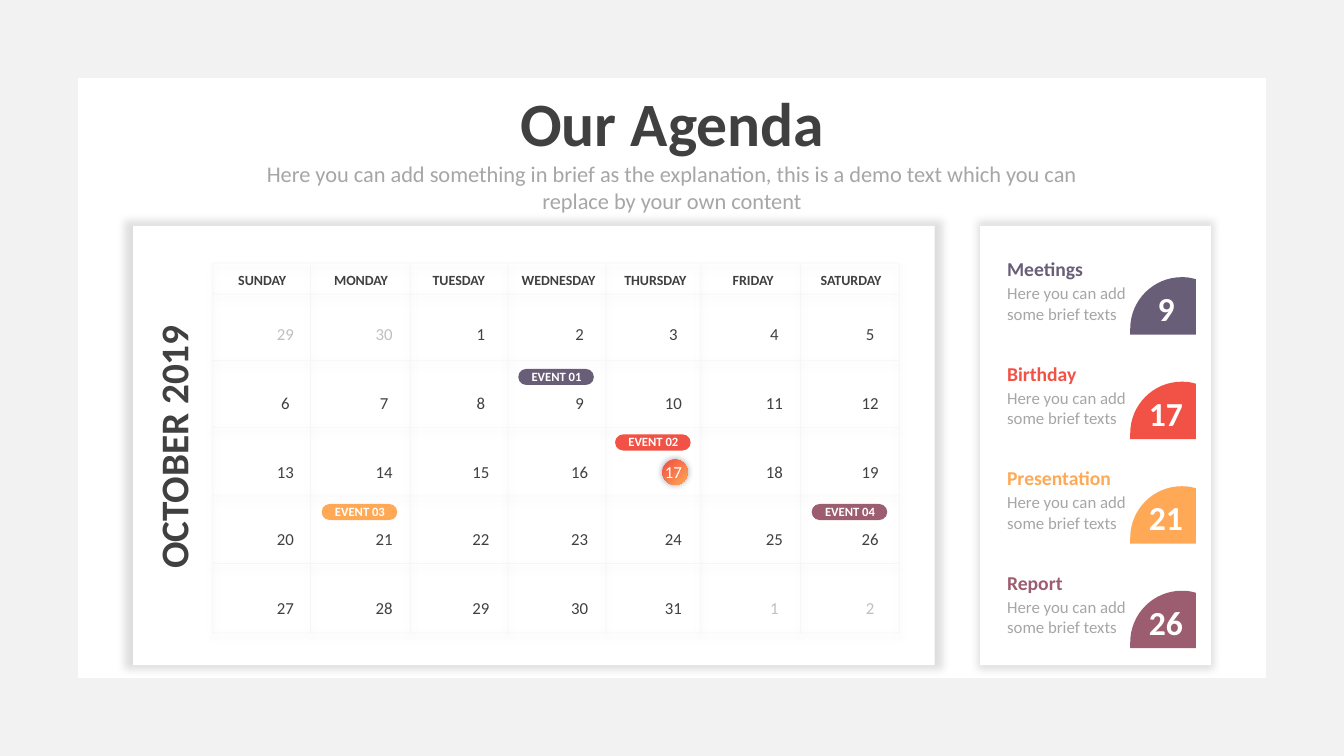
import lxml.etree
import pptx
import pptx.dml.color
import pptx.enum.dml
import pptx.enum.shapes
import pptx.enum.text
import pptx.oxml.ns
import pptx.util

Inches = pptx.util.Inches
SHAPE = pptx.enum.shapes.MSO_SHAPE
ALIGN = pptx.enum.text.PP_ALIGN

COLORS = {
    "white": "FFFFFF", "frame": "F2F2F2", "ink": "404040", "body": "A6A6A6",
    "faded": "BFBFBF", "black": "000000", "purple": "695E78", "red": "F25245",
    "orange": "FFA956", "plum": "9C5D71",
}
TITLE = "Our Agenda"
SUBTITLE = [
    "Here you can add something in brief as the explanation, this is a demo text which you can",
    "replace by your own content",
]
MONTH = "OCTOBER 2019"
TODAY = 17
WEEKDAYS = [("SUNDAY", 2.6, 0.88), ("MONDAY", 3.58, 0.88), ("TUESDAY", 4.55, 0.88),
            ("WEDNESDAY", 5.54, 1), ("THURSDAY", 6.5, 0.88), ("FRIDAY", 7.47, 0.88),
            ("SATURDAY", 8.44, 0.88)]
WEEKS = [
    [29, 30, 1, 2, 3, 4, 5],
    [6, 7, 8, 9, 10, 11, 12],
    [13, 14, 15, 16, 17, 18, 19],
    [20, 21, 22, 23, 24, 25, 26],
    [27, 28, 29, 30, 31, 1, 2],
]
EVENTS = [
    ("EVENT 01", 5.14, 3.66, "purple"),
    ("EVENT 02", 6.1, 4.31, "red"),
    ("EVENT 03", 3.19, 5, "orange"),
    ("EVENT 04", 8.05, 5, "plum"),
]
CARDS = [("Meetings", "9", "purple"), ("Birthday", "17", "red"),
         ("Presentation", "21", "orange"), ("Report", "26", "plum")]
CARD_TEXT = ["Here you can add", "some brief texts"]

PANELS = [(1.32, 7.95), (9.72, 2.29)]
COLUMN_EDGES = [2.11, 3.08, 4.07, 5.04, 6.01, 6.95, 7.94, 8.92]
ROW_EDGES = [2.61, 2.92, 3.58, 4.24, 4.92, 5.59, 6.28]
GRID_RIGHT = 8.91
DATE_LEFTS = [2.6, 3.58, 4.54, 5.52, 6.45, 7.45, 8.4]
DATE_TOPS = [3.16, 3.85, 4.53, 5.2, 5.88]
CARD_TOP, CARD_PITCH = 2.41, 1.037
BADGE_LEFT = 11.21
BADGE_POINTS = [(0.51, 0), (0.61, 0.01), (0.65, 0.02), (0.65, 0.57),
                (0, 0.57), (0, 0.51), (0.51, 0)]
BADGE_CURVES = {0: [(0.54, 0), (0.57, 0)], 4: [(0, 0.23), (0.23, 0)]}


def tag(name):
    """Return a qualified drawing tag."""
    return pptx.oxml.ns.qn("a:" + name)


def rgb(name):
    """Return the named colour."""
    return pptx.dml.color.RGBColor.from_string(COLORS[name])


def add_effects(item, shadow=None):
    """Replace the theme effects with an optional (alpha, blur, distance, angle, scale) shadow."""
    effects = lxml.etree.SubElement(item._element.spPr, tag("effectLst"))
    if shadow:
        alpha, blur, distance, angle, scale = shadow
        outer = lxml.etree.SubElement(
            effects, tag("outerShdw"), blurRad=str(pptx.util.Pt(blur)),
            dist=str(pptx.util.Pt(distance)), dir=str(angle * 60000),
            sx=str(scale * 1000), sy=str(scale * 1000), algn="ctr", rotWithShape="0")
        color = lxml.etree.SubElement(outer, tag("srgbClr"), val=COLORS["black"])
        lxml.etree.SubElement(color, tag("alpha"), val=str(alpha * 1000))


def paint(shape, color, shadow=None):
    """Give a shape a plain fill, no outline and an optional shadow."""
    shape.fill.solid()
    shape.fill.fore_color.rgb = rgb(color)
    shape.line.fill.background()
    add_effects(shape, shadow)


def add_box(parent, kind, place, color, shadow=None):
    """Add a filled preset shape."""
    shape = parent.shapes.add_shape(kind, *map(Inches, place))
    paint(shape, color, shadow)
    return shape


def add_text(parent, place, lines, size, color, bold=False, align=ALIGN.CENTER):
    """Add a text box with one paragraph per line."""
    box = parent.shapes.add_textbox(*map(Inches, place))
    frame = box.text_frame
    frame.word_wrap = True
    frame.auto_size = pptx.enum.text.MSO_AUTO_SIZE.SHAPE_TO_FIT_TEXT
    for index, line in enumerate(lines):
        para = frame.add_paragraph() if index else frame.paragraphs[0]
        para.alignment = align
        span = para.add_run()
        span.text = line
        span.font.name = "Calibri"
        span.font.size = pptx.util.Pt(size)
        span.font.bold = bold
        span.font.color.rgb = rgb(color)
    return box


def add_grid_line(page, *ends):
    """Add one translucent calendar line."""
    line = page.shapes.add_connector(
        pptx.enum.shapes.MSO_CONNECTOR.STRAIGHT, *map(Inches, ends))
    line.line.width = pptx.util.Pt(0.5)
    line.line.color.rgb = rgb("frame")
    color = line._element.spPr.find(".//" + tag("srgbClr"))
    lxml.etree.SubElement(color, tag("alpha"), val="60000")
    add_effects(line, (12, 6, 3, 90, 100))


def add_calendar(page):
    """Add the month grid, its weekdays, its dates and its events."""
    today = add_box(page, SHAPE.OVAL, (6.57, 4.56, 0.25, 0.25), "red", (40, 5, 0, 0, 100))
    today.fill.gradient()
    today.fill.gradient_angle = 315
    for stop, position, color in zip(today.fill.gradient_stops, (0.07, 1), ("red", "orange")):
        stop.position = position
        stop.color.rgb = rgb(color)
    for y in ROW_EDGES:
        add_grid_line(page, COLUMN_EDGES[0], y, GRID_RIGHT, y)
    for x in COLUMN_EDGES:
        add_grid_line(page, x, ROW_EDGES[-1], x, ROW_EDGES[0])
    for row, (week, top) in enumerate(zip(WEEKS, DATE_TOPS)):
        for day, left in zip(week, DATE_LEFTS):
            outside = (row == 0 and day > 7) or (row == len(WEEKS) - 1 and day < 7)
            color = "faded" if outside else "white" if day == TODAY else "ink"
            add_text(page, (left, top, 0.46, 0.3), [str(day)], 12, color)
    for weekday, center, width in WEEKDAYS:
        add_text(page, (center - width / 2, 2.64, width, 0.27), [weekday], 10, "ink", True)
    month = add_text(page, (0.15, 4.15, 3.13, 0.57), [MONTH], 28, "ink", True)
    month.rotation = 270
    for label, left, top, color in EVENTS:
        group = page.shapes.add_group_shape()
        pill = add_box(group, SHAPE.ROUNDED_RECTANGLE, (left, top, 0.75, 0.16), color)
        pill.adjustments[0] = 0.5
        add_text(group, (left - 0.01, top - 0.05, 0.78, 0.25), [label], 9, "white", True)


def add_badge(group, top, color):
    """Add a disc cut off at its right and its bottom."""
    points = [(Inches(BADGE_LEFT + x), Inches(top + y)) for x, y in BADGE_POINTS]
    outline = group.shapes.build_freeform(*points[0])
    outline.add_line_segments(points[1:-1], close=False)
    outline.add_line_segments(points[-1:], close=True)
    badge = outline.convert_to_shape()
    segments = list(badge._element.spPr.iter(tag("lnTo")))
    for index, controls in {0: BADGE_CURVES[0], 5: BADGE_CURVES[4]}.items():
        segment = segments[index]
        segment.tag = tag("cubicBezTo")
        for place, (x, y) in enumerate(controls):
            point = lxml.etree.Element(tag("pt"), x=str(Inches(x)), y=str(Inches(y)))
            segment.insert(place, point)
    paint(badge, color)


def add_cards(page):
    """Add the list of event cards."""
    for index, (heading, day, color) in enumerate(CARDS):
        top = CARD_TOP + index * CARD_PITCH
        group = page.shapes.add_group_shape()
        add_box(group, SHAPE.RECTANGLE, (9.87, top, 1.99, 0.91), "white")
        add_badge(group, top + 0.34, color)
        add_text(group, (9.89, top + 0.35, 1.99, 0.5), CARD_TEXT, 12, "body", align=ALIGN.LEFT)
        add_text(group, (9.89, top + 0.09, 1.84, 0.34), [heading], 14, color, True, ALIGN.LEFT)
        add_text(group, (11.28, top + 0.4, 0.57, 0.5), [day], 24, "white", True)


def main():
    """Build the agenda slide."""
    deck = pptx.Presentation()
    deck.slide_width, deck.slide_height = Inches(13.33), Inches(7.5)
    page = deck.slides.add_slide(deck.slide_layouts[6])
    border = add_box(page, SHAPE.FRAME, (0, 0, 13.33, 7.5), "frame")
    border.adjustments[0] = 0.103
    for left, width in PANELS:
        add_box(page, SHAPE.RECTANGLE, (left, 2.24, width, 4.36), "white", (12, 6, 0, 0, 102))
    add_calendar(page)
    add_text(page, (4.27, 0.79, 4.8, 0.84), [TITLE], 44, "ink", True)
    add_text(page, (2.41, 1.54, 8.51, 0.64), SUBTITLE, 16, "body")
    add_cards(page)
    deck.save("out.pptx")


if __name__ == "__main__":
    main()
